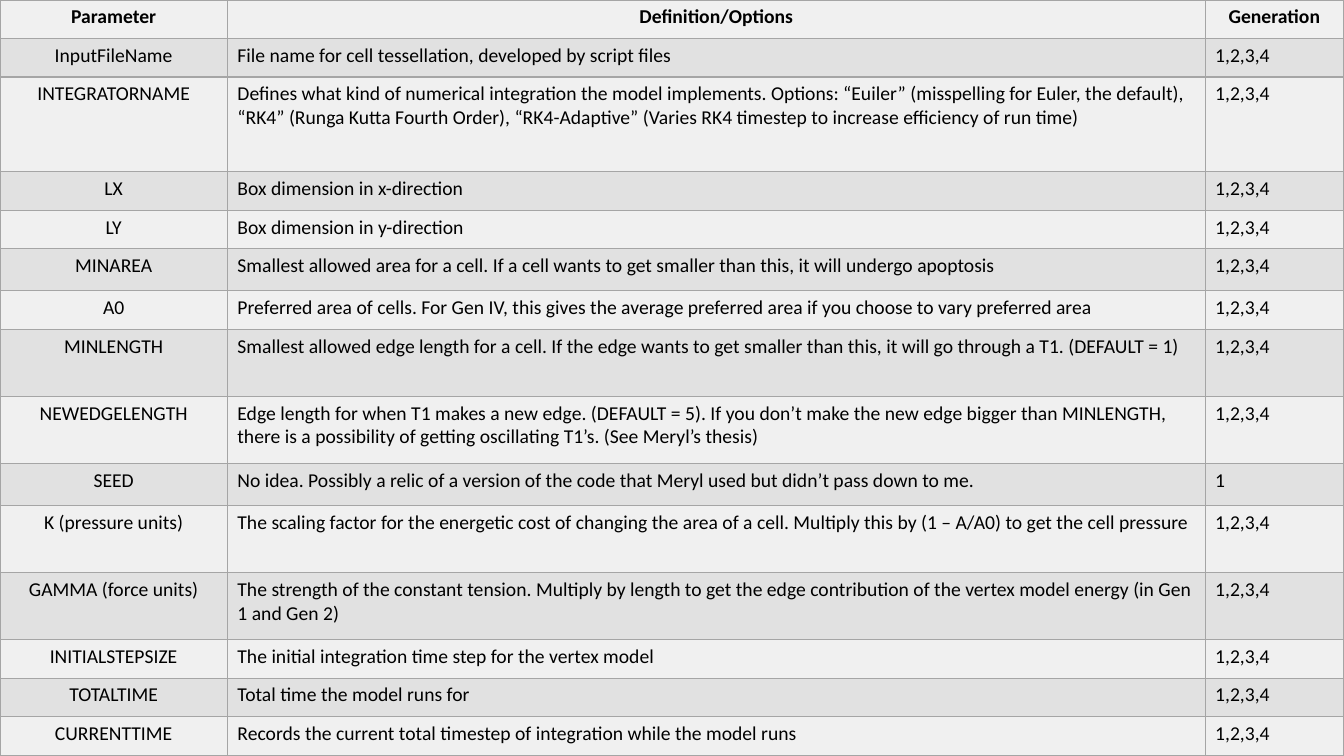
from dataclasses import dataclass

from lxml.etree import SubElement
from pptx import Presentation
from pptx.dml.color import RGBColor
from pptx.enum.text import PP_ALIGN
from pptx.oxml.ns import qn
from pptx.table import Table, _Cell
from pptx.util import Cm, Pt


@dataclass(frozen=True)
class Theme:
    font: str = "Calibri"
    size: int = 14
    text: str = "000000"
    bands: tuple[str, str] = ("F0F0F0", "E1E1E1")
    border: str = "A5A5A5"
    border_width: int = 1


THEME = Theme()

# Row heights and column widths in centimetres
SINGLE, RELAXED, DOUBLE, TRIPLE = 0.97, 1.06, 1.69, 2.39
COLUMN_WIDTHS = (5.73, 24.64, 3.49)


@dataclass(frozen=True)
class Parameter:
    name: str
    definition: str
    height: float = SINGLE
    generation: str = "1,2,3,4"


HEADER = Parameter("Parameter", "Definition/Options", generation="Generation")
PARAMETERS = [
    Parameter("InputFileName", "File name for cell tessellation, developed by script files"),
    Parameter("INTEGRATORNAME",
              "Defines what kind of numerical integration the model implements. "
              "Options: “Euiler” (misspelling for Euler, the default), "
              "“RK4” (Runga Kutta Fourth Order), "
              "“RK4-Adaptive” (Varies RK4 timestep to increase efficiency of run time)",
              TRIPLE),
    Parameter("LX", "Box dimension in x-direction"),
    Parameter("LY", "Box dimension in y-direction"),
    Parameter("MINAREA",
              "Smallest allowed area for a cell. If a cell wants to get smaller than this, "
              "it will undergo apoptosis", RELAXED),
    Parameter("A0",
              "Preferred area of cells. For Gen IV, this gives the average preferred area "
              "if you choose to vary preferred area"),
    Parameter("MINLENGTH",
              "Smallest allowed edge length for a cell. If the edge wants to get smaller "
              "than this, it will go through a T1. (DEFAULT = 1)", DOUBLE),
    Parameter("NEWEDGELENGTH",
              "Edge length for when T1 makes a new edge. (DEFAULT = 5). If you don’t make "
              "the new edge bigger than MINLENGTH, there is a possibility of getting "
              "oscillating T1’s. (See Meryl’s thesis)", DOUBLE),
    Parameter("SEED",
              "No idea. Possibly a relic of a version of the code that Meryl used but "
              "didn’t pass down to me.", RELAXED, "1"),
    Parameter("K (pressure units)",
              "The scaling factor for the energetic cost of changing the area of a cell. "
              "Multiply this by (1 – A/A0) to get the cell pressure", DOUBLE),
    Parameter("GAMMA (force units)",
              "The strength of the constant tension. Multiply by length to get the edge "
              "contribution of the vertex model energy (in Gen 1 and Gen 2)", DOUBLE),
    Parameter("INITIALSTEPSIZE", "The initial integration time step for the vertex model"),
    Parameter("TOTALTIME", "Total time the model runs for"),
    Parameter("CURRENTTIME",
              "Records the current total timestep of integration while the model runs"),
]


def draw_borders(cell: _Cell) -> None:
    properties = cell._tc.get_or_add_tcPr()
    for side in ("a:lnL", "a:lnR", "a:lnT", "a:lnB"):
        line = SubElement(properties, qn(side), w=str(Pt(THEME.border_width)))
        fill = SubElement(line, qn("a:solidFill"))
        SubElement(fill, qn("a:srgbClr"), val=THEME.border)


def fill_cell(cell: _Cell, text: str, band: str, centred: bool, bold: bool) -> None:
    draw_borders(cell)
    cell.fill.solid()
    cell.fill.fore_color.rgb = RGBColor.from_string(band)
    paragraph = cell.text_frame.paragraphs[0]
    paragraph.alignment = PP_ALIGN.CENTER if centred else PP_ALIGN.LEFT
    run = paragraph.add_run()
    run.text = text
    run.font.name = THEME.font
    run.font.size = Pt(THEME.size)
    run.font.bold = bold
    run.font.color.rgb = RGBColor.from_string(THEME.text)


def fill_row(table: Table, index: int, parameter: Parameter) -> None:
    table.rows[index].height = Cm(parameter.height)
    is_header = index == 0
    band = THEME.bands[index % 2]
    texts = (parameter.name, parameter.definition, parameter.generation)
    for column, text in enumerate(texts):
        fill_cell(table.cell(index, column), text, band,
                  centred=is_header or column == 0, bold=is_header)


def main() -> None:
    presentation = Presentation()
    presentation.slide_width = Cm(33.87)
    presentation.slide_height = Cm(19.05)
    slide = presentation.slides.add_slide(presentation.slide_layouts[6])

    # Parameter table covering the slide
    entries = [HEADER, *PARAMETERS]
    parameter_table = slide.shapes.add_table(
        len(entries), len(COLUMN_WIDTHS), Cm(0), Cm(0),
        Cm(sum(COLUMN_WIDTHS)), Cm(sum(entry.height for entry in entries))).table
    for column, width in zip(parameter_table.columns, COLUMN_WIDTHS):
        column.width = Cm(width)
    for index, entry in enumerate(entries):
        fill_row(parameter_table, index, entry)

    presentation.save("out.pptx")


if __name__ == "__main__":
    main()
